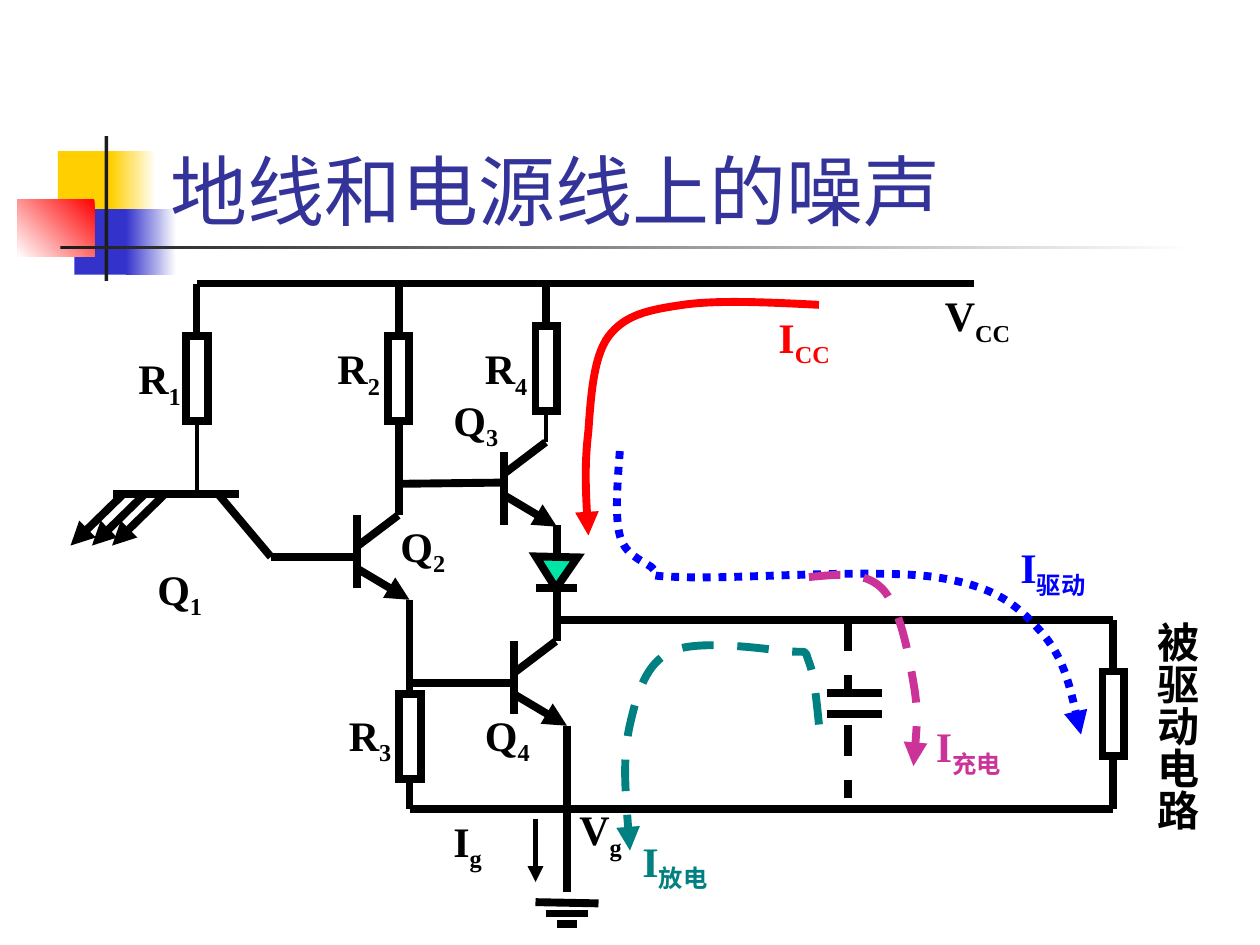
import lxml.etree
import pptx
import pptx.dml.color
import pptx.enum.dml
import pptx.enum.shapes
import pptx.enum.text
import pptx.oxml.ns
import pptx.util

Inches = pptx.util.Inches
Pt = pptx.util.Pt
RGBColor = pptx.dml.color.RGBColor
MSO_SHAPE = pptx.enum.shapes.MSO_SHAPE
MSO_LINE = pptx.enum.dml.MSO_LINE
qn = pptx.oxml.ns.qn

BLACK = RGBColor(0x00, 0x00, 0x00)
WHITE = RGBColor(0xFF, 0xFF, 0xFF)
CHARCOAL = RGBColor(0x1C, 0x1C, 0x1C)
YELLOW = RGBColor(0xFF, 0xCF, 0x01)
INDIGO = RGBColor(0x33, 0x33, 0xCC)
NAVY = RGBColor(0x33, 0x33, 0x99)
RED = RGBColor(0xFF, 0x00, 0x00)
BLUE = RGBColor(0x00, 0x00, 0xFF)
MAGENTA = RGBColor(0xCC, 0x33, 0x99)
TEAL = RGBColor(0x00, 0x80, 0x80)
GREEN = RGBColor(0x00, 0xE4, 0xA8)

RESISTOR_W, RESISTOR_H = 0.17, 0.67

WIRES = [
    (1.56, 2.25, 7.73, 2.25), (1.56, 2.25, 1.56, 2.67), (3.17, 2.25, 3.17, 2.67),
    (4.33, 2.26, 4.33, 2.59), (3.17, 3.34, 3.17, 4.09), (3.17, 3.84, 4, 3.83),
    (0.9, 3.92, 1.9, 3.92), (1.73, 3.92, 2.15, 4.42), (2.15, 4.42, 2.83, 4.42),
    (4.42, 4.17, 4.42, 4.42), (4.25, 4.67, 4.58, 4.67), (4.42, 4.67, 4.42, 5.09),
    (3.25, 4.76, 3.25, 5.51), (3.25, 5.42, 4.08, 5.42), (3.25, 6.17, 3.25, 6.42),
    (4.42, 4.92, 8.83, 4.92), (8.83, 4.92, 8.83, 5.33), (8.83, 6, 8.83, 6.42),
    (3.25, 6.42, 8.83, 6.42), (6.56, 5.5, 7, 5.5), (6.56, 5.67, 7, 5.67),
    (4.5, 5.76, 4.5, 7.08), (4.25, 7.16, 4.75, 7.17), (4.33, 7.25, 4.67, 7.25),
    (4.42, 7.33, 4.58, 7.33),
]
RESISTORS = [(1.48, 2.67), (3.08, 2.67), (4.25, 2.59), (3.17, 5.51), (8.75, 5.33)]
TRANSISTORS = [(2.83, 4.09, 4.09), (4, 3.51, 3.59), (4.08, 5.09, 5.09)]
LABELS = [
    ("Q", "1", 1.15, 4.42, 0.58, BLACK), ("Q", "2", 3.08, 4.08, 0.58, BLACK),
    ("Q", "3", 3.5, 3.08, 0.58, BLACK), ("Q", "4", 3.75, 5.58, 0.58, BLACK),
    ("R", "1", 1, 2.75, 0.58, BLACK), ("R", "2", 2.58, 2.67, 0.58, BLACK),
    ("R", "3", 2.67, 5.58, 0.58, BLACK), ("R", "4", 3.75, 2.67, 0.58, BLACK),
    ("V", "CC", 7.4, 2.25, 0.92, BLACK), ("I", "CC", 6.08, 2.42, 1.08, RED),
    ("I", "驱动", 8, 4.25, 1.08, BLUE), ("I", "充电", 7.33, 5.67, 1.08, MAGENTA),
    ("I", "放电", 5, 6.58, 1.08, TEAL), ("I", "g", 3.5, 6.42, 0.67, BLACK),
    ("V", "g", 4.5, 6.33, 0.67, BLACK),
]
CURRENTS = [
    (RED, None, [
        (6.5, 2.42), (6.1, 2.4), (5.69, 2.38), (5.42, 2.42), (5.14, 2.46),
        (4.96, 2.5), (4.83, 2.67), (4.71, 2.83), (4.69, 3.15), (4.67, 3.42),
        (4.64, 3.68), (4.65, 3.97), (4.67, 4.25)]),
    (BLUE, MSO_LINE.ROUND_DOT, [
        (4.92, 3.58), (4.9, 3.84), (4.88, 4.1), (4.92, 4.25), (4.96, 4.4),
        (5.08, 4.44), (5.17, 4.5), (5.25, 4.56), (5.04, 4.57), (5.42, 4.58),
        (5.79, 4.6), (6.94, 4.51), (7.42, 4.58), (7.89, 4.65), (8.06, 4.79),
        (8.25, 5), (8.44, 5.21), (8.51, 5.52), (8.58, 5.83)]),
    (MAGENTA, MSO_LINE.DASH, [
        (6.42, 4.58), (6.64, 4.56), (6.86, 4.53), (7, 4.67), (7.14, 4.81),
        (7.21, 5.18), (7.25, 5.42), (7.29, 5.65), (7.27, 5.87), (7.25, 6.08)]),
    (TEAL, MSO_LINE.DASH, [
        (6.5, 5.75), (6.48, 5.55), (6.46, 5.35), (6.42, 5.25), (6.38, 5.15),
        (6.43, 5.18), (6.25, 5.17), (6.07, 5.15), (5.54, 5.07), (5.33, 5.17),
        (5.13, 5.26), (5.06, 5.49), (5, 5.75), (4.94, 6.01), (4.97, 6.38),
        (5, 6.75)]),
]


def style_line(line, color=BLACK, width=4.5, dash=None, arrow=False, miter=False):
    line.color.rgb = color
    line.width = Pt(width)
    if dash is not None:
        line.dash_style = dash
    ln = line._get_or_add_ln()
    if miter:
        lxml.etree.SubElement(ln, qn("a:miter")).set("lim", "800000")
    if arrow:
        lxml.etree.SubElement(ln, qn("a:tailEnd")).set("type", "triangle")


def add_wire(s, x1, y1, x2, y2, **style):
    wire = s.shapes.add_connector(
        pptx.enum.shapes.MSO_CONNECTOR.STRAIGHT,
        Inches(x1), Inches(y1), Inches(x2), Inches(y2))
    style_line(wire.line, **style)
    lxml.etree.SubElement(wire._element.spPr, qn("a:effectLst"))


def add_block(s, x, y, w, h, fill=None, fade_to=None, angle=0,
              outlined=False, kind=MSO_SHAPE.RECTANGLE):
    sp = s.shapes.add_shape(kind, Inches(x), Inches(y), Inches(w), Inches(h))
    sp.shadow.inherit = False
    if fill is None:
        sp.fill.background()
    elif fade_to is None:
        sp.fill.solid()
        sp.fill.fore_color.rgb = fill
    else:
        sp.fill.gradient()
        sp.fill.gradient_angle = angle
        for stop, color in zip(sp.fill.gradient_stops, (fill, fade_to)):
            stop.color.rgb = color
    if outlined:
        style_line(sp.line, miter=True)
    else:
        sp.line.fill.background()
    return sp


def add_transistor(s, x, collector_y, bar_y):
    add_wire(s, x, collector_y + 0.25, x + 0.33, collector_y)
    add_wire(s, x, collector_y + 0.42, x + 0.42, collector_y + 0.67, arrow=True)
    add_wire(s, x, bar_y, x, bar_y + 0.58)


def add_current(s, color, dash, points):
    start, *rest = [(Inches(x), Inches(y)) for x, y in points]
    builder = s.shapes.build_freeform(*start)
    builder.add_line_segments(rest, close=False)
    sp = builder.convert_to_shape()
    sp.shadow.inherit = False
    sp.fill.background()
    style_line(sp.line, color, dash=dash, arrow=True)
    segments = list(sp._element.iter(qn("a:lnTo")))
    outline = segments[0].getparent()
    for i in range(0, len(segments), 3):
        curve = lxml.etree.SubElement(outline, qn("a:cubicBezTo"))
        for segment in segments[i:i + 3]:
            curve.append(segment[0])
            outline.remove(segment)


def add_label(s, text, subscript, x, y, w, color, h=0.56):
    sp = s.shapes.add_textbox(Inches(x), Inches(y), Inches(w), Inches(h))
    tf = sp.text_frame
    tf.word_wrap = True
    tf.auto_size = pptx.enum.text.MSO_AUTO_SIZE.SHAPE_TO_FIT_TEXT
    p = tf.paragraphs[0]
    p.space_before = Pt(15)
    for part in filter(None, (text, subscript)):
        r = p.add_run()
        r.text = part
        r.font.size = Pt(24)
        r.font.name = "Times New Roman"
        r.font.bold = True
        r.font.color.rgb = color
        if part == subscript:
            r.font._element.set("baseline", "-25000")
    return tf


def add_vertical_label(s, text, x, y, w, h):
    tf = add_label(s, text, "", x, y, w, BLACK, h)
    tf.word_wrap = False
    tf.margin_left = tf.margin_right = Inches(0.05)
    tf.margin_top = tf.margin_bottom = Inches(0.1)
    tf._txBody.bodyPr.set("vert", "eaVert")


def add_decoration(s):
    add_block(s, 0.46, 1.2, 0.48, 0.52, YELLOW)
    add_block(s, 0.88, 1.2, 0.36, 0.52, YELLOW, WHITE)
    add_block(s, 0.59, 1.66, 0.46, 0.52, INDIGO)
    add_block(s, 1, 1.66, 0.4, 0.52, INDIGO, WHITE)
    add_block(s, 0.14, 1.58, 0.61, 0.46, RED, WHITE, 225)
    add_block(s, 0.83, 1.08, 0.03, 1.15, CHARCOAL)
    add_block(s, 0.48, 1.95, 9, 0.03, CHARCOAL, WHITE)


def set_title(s, text):
    sp = s.shapes.title
    sp.left, sp.top = Inches(1.25), Inches(0.67)
    sp.width, sp.height = Inches(8.5), Inches(1.25)
    sp._element.getparent().append(sp._element)
    tf = sp.text_frame
    tf.text = text
    tf.vertical_anchor = pptx.enum.text.MSO_ANCHOR.BOTTOM
    p = tf.paragraphs[0]
    p.alignment = pptx.enum.text.PP_ALIGN.LEFT
    p.font.size = Pt(44)
    p.font.name = "Cabin"
    p.font.color.rgb = NAVY


def add_circuit(s):
    for wire in WIRES:
        add_wire(s, *wire)
    add_wire(s, 4.33, 3.26, 4.33, 3.51, width=2.25)
    add_wire(s, 1.56, 3.33, 1.56, 3.92, width=2.25)
    for y in (4.92, 5.75):
        add_wire(s, 6.73, y, 6.73, y + 0.58, dash=MSO_LINE.DASH)
    for x in (0.98, 1.15, 1.31):
        add_wire(s, x, 3.92, x - 0.42, 4.33, arrow=True)
    add_wire(s, 4.25, 6.5, 4.25, 7, width=3, arrow=True)
    for x, y in RESISTORS:
        add_block(s, x, y, RESISTOR_W, RESISTOR_H, outlined=True)
    for transistor in TRANSISTORS:
        add_transistor(s, *transistor)
    diode = add_block(s, 4.25, 4.42, 0.33, 0.25, GREEN, outlined=True,
                      kind=MSO_SHAPE.ISOSCELES_TRIANGLE)
    diode.rotation = 181.3


def main():
    prs = pptx.Presentation()
    prs.slide_width, prs.slide_height = Inches(10), Inches(7.5)
    s = prs.slides.add_slide(prs.slide_layouts[5])
    add_decoration(s)
    set_title(s, "地线和电源线上的噪声")
    add_circuit(s)
    for current in CURRENTS:
        add_current(s, *current)
    for label in LABELS:
        add_label(s, *label)
    add_vertical_label(s, "被驱动电路", 8.99, 4.83, 0.6, 2.17)
    prs.save("out.pptx")


if __name__ == "__main__":
    main()
